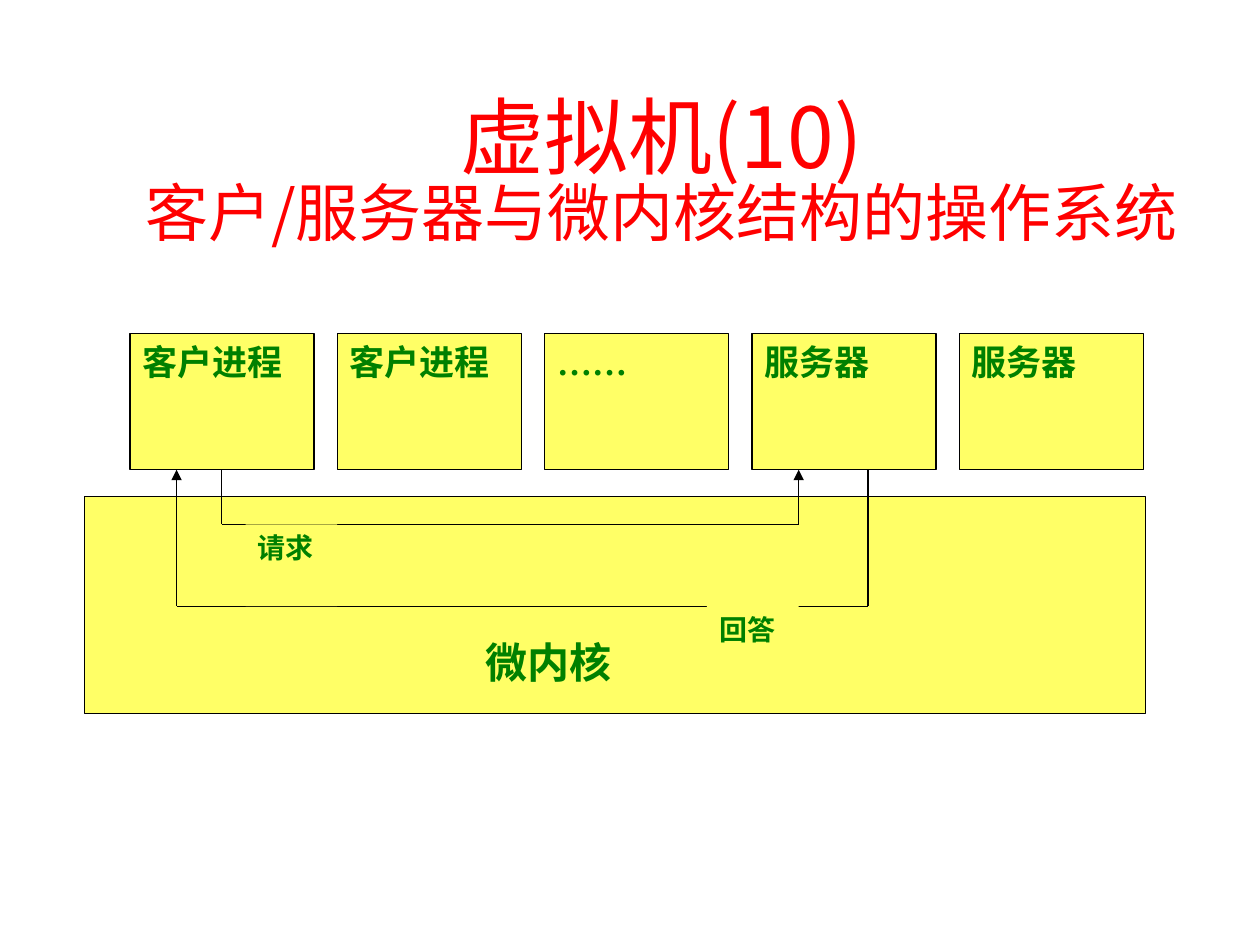
from itertools import pairwise

from lxml.etree import SubElement
from pptx import Presentation
from pptx.dml.color import RGBColor
from pptx.enum.shapes import MSO_CONNECTOR, MSO_SHAPE
from pptx.enum.text import MSO_ANCHOR, PP_ALIGN
from pptx.oxml.ns import qn
from pptx.util import Cm, Pt

YELLOW, GREEN, RED, BLACK = "FFFF66", "008000", "FF0000", "000000"
PROCESSES = ["客户进程", "客户进程", "……", "服务器", "服务器"]
PROCESS_LEFT, PROCESS_TOP, PROCESS_PITCH = 2.62, 6.73, 4.18
PROCESS_WIDTH, PROCESS_HEIGHT = 3.71, 2.74
PROCESS_BOTTOM = PROCESS_TOP + PROCESS_HEIGHT
REQUEST_LEVEL, REPLY_LEVEL = 10.57, 12.22


def color(value):
    return RGBColor.from_string(value)


def apply(target, values):
    for name, value in values.items():
        setattr(target, name, value)


def add_span(paragraph, text, size, font, fill, bold=False):
    span = paragraph.add_run()
    span.text = text
    apply(span.font, {"size": Pt(size), "name": font, "bold": bold})
    span.font.color.rgb = color(fill)


def add_title(page, lines):
    box = page.shapes.add_textbox(Cm(2.54), Cm(1.7), Cm(21.59), Cm(3.18))
    apply(box.text_frame, {
        "word_wrap": True,
        "vertical_anchor": MSO_ANCHOR.MIDDLE,
        "margin_top": Cm(0.6),
    })
    paragraph = box.text_frame.paragraphs[0]
    apply(paragraph, {"alignment": PP_ALIGN.CENTER, "line_spacing": 0.84})
    for index, (text, size) in enumerate(lines):
        if index:
            paragraph.add_line_break()
        add_span(paragraph, text, size, "Noto Sans CJK SC", RED)


def add_block(page, left, top, width, height, text="", size=20,
              outlined=True, alignment=PP_ALIGN.JUSTIFY):
    box = page.shapes.add_shape(
        MSO_SHAPE.RECTANGLE, Cm(left), Cm(top), Cm(width), Cm(height))
    box.shadow.inherit = False
    box.fill.solid()
    box.fill.fore_color.rgb = color(YELLOW)
    if outlined:
        box.line.color.rgb = color(BLACK)
        box.line.width = Pt(0.75)
    else:
        box.line.fill.background()
    if text:
        apply(box.text_frame, {"word_wrap": True, "vertical_anchor": MSO_ANCHOR.TOP})
        paragraph = box.text_frame.paragraphs[0]
        paragraph.alignment = alignment
        add_span(paragraph, text, size, "Times New Roman", GREEN, bold=True)


def add_route(page, start, end, level):
    points = [(start, PROCESS_BOTTOM), (start, level),
              (end, level), (end, PROCESS_BOTTOM)]
    for (x1, y1), (x2, y2) in pairwise(points):
        line = page.shapes.add_connector(
            MSO_CONNECTOR.STRAIGHT, Cm(x1), Cm(y1), Cm(x2), Cm(y2))
        line.line.color.rgb = color(BLACK)
        line.line.width = Pt(0.75)
        properties = line._element.spPr
        SubElement(properties, qn("a:effectLst"))
    SubElement(properties.find(qn("a:ln")), qn("a:tailEnd"), type="triangle")


def main():
    deck = Presentation()
    apply(deck, {"slide_width": Cm(25.4), "slide_height": Cm(19.05)})
    page = deck.slides.add_slide(deck.slide_layouts[6])

    add_title(page, [("虚拟机(10)", 48), ("客户/服务器与微内核结构的操作系统", 36)])
    for index, name in enumerate(PROCESSES):
        add_block(page, PROCESS_LEFT + index * PROCESS_PITCH, PROCESS_TOP,
                  PROCESS_WIDTH, PROCESS_HEIGHT, name)
    add_block(page, 1.7, 10.01, 21.39, 4.37)

    add_route(page, 4.47, 16.1, REQUEST_LEVEL)
    add_route(page, 17.5, 3.56, REPLY_LEVEL)
    for text, left, level in [("请求", 4.95, REQUEST_LEVEL), ("回答", 14.25, REPLY_LEVEL)]:
        add_block(page, left, level, 1.85, 1.65, text, 16, outlined=False)
    add_block(page, 9.53, 12.7, 3.61, 1.27, "微内核", 24,
              outlined=False, alignment=PP_ALIGN.LEFT)

    deck.save("out.pptx")


if __name__ == "__main__":
    main()
